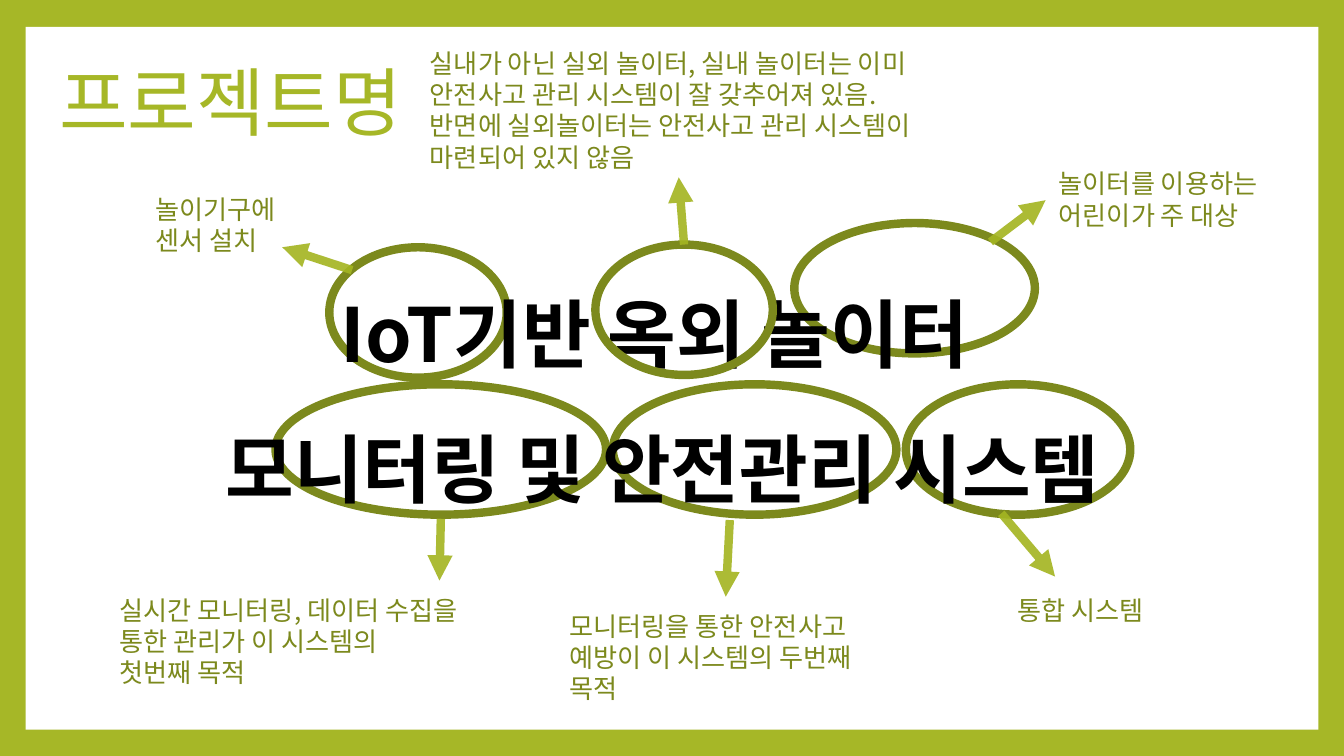
from dataclasses import dataclass

import pptx
import pptx.dml.color
import pptx.enum.dml
import pptx.enum.shapes
import pptx.enum.text
import pptx.oxml
import pptx.oxml.ns
import pptx.util
from pptx.util import Inches

FONT = "Noto Sans CJK KR"
COLORS = {
    "frame": "A6B727",
    "panel": "FFFFFF",
    "olive": "7C891D",
    "arrow": "A4B522",
    "headline": "000000",
}
OVAL_HEIGHT = 0.97
STROKE = 4.5


@dataclass
class Oval:
    left: float
    top: float
    width: float


@dataclass
class Arrow:
    start: tuple[float, float]
    end: tuple[float, float]


@dataclass
class Note:
    left: float
    top: float
    width: float
    height: float
    lines: list[str]
    fit_shape: bool = True


OVALS_BEHIND = [
    Oval(2.45, 1.84, 1.32),
    Oval(5.91, 1.66, 1.79),
    Oval(2.05, 2.86, 2.46),
    Oval(4.56, 2.86, 2.11),
    Oval(6.74, 2.86, 1.67),
]
OUTDOOR_OVAL = Oval(4.43, 1.82, 1.32)
ARROWS = [
    Arrow((2.62, 2.01), (2.1, 1.84)),
    Arrow((7.37, 1.8), (7.78, 1.49)),
    Arrow((5.43, 3.87), (5.4, 4.44)),
    Arrow((3.28, 3.86), (3.27, 4.32)),
    Arrow((7.45, 3.82), (7.85, 4.29)),
    Arrow((5.09, 1.82), (5.05, 1.32)),
]
NOTES = [
    Note(1.06, 1.39, 1.23, 0.57, ["놀이기구에", "센서 설치"]),
    Note(7.78, 1.2, 1.8, 0.57, ["놀이터를 이용하는", "어린이가 주 대상"]),
    Note(0.79, 4.37, 2.96, 0.81,
         ["실시간 모니터링, 데이터 수집을 통한 관리가 이 시스템의", "첫번째 목적"]),
    Note(4.14, 4.49, 2.53, 0.81,
         ["모니터링을 통한 안전사고 예방이 이 시스템의 두번째 목적"]),
    Note(7.47, 4.37, 1.8, 0.34, ["통합 시스템"]),
    Note(3.1, 0.3, 3.99, 1.51,
         ["실내가 아닌 실외 놀이터, 실내 놀이터는 이미 안전사고 관리 시스템이 잘 갖추어져 있음. "
          "반면에 실외놀이터는 안전사고 관리 시스템이 마련되어 있지 않음"], fit_shape=False),
]
HEADLINE = ["IoT기반 옥외 놀이터 ", "모니터링 및 안전관리 시스템"]


def rgb(name: str) -> pptx.dml.color.RGBColor:
    return pptx.dml.color.RGBColor.from_string(COLORS[name])


def add_xml(parent, tag: str, **attributes: str) -> None:
    element = pptx.oxml.parse_xml(f'<a:{tag} {pptx.oxml.ns.nsdecls("a")}/>')
    for name, value in attributes.items():
        element.set(name, value)
    parent.append(element)


def set_margins(frame, side: float, top: float) -> None:
    frame.margin_left = frame.margin_right = Inches(side)
    frame.margin_top = frame.margin_bottom = Inches(top)


def write_lines(frame, lines: list[str], size: int, color: str, spacing: float,
                alignment=pptx.enum.text.PP_ALIGN.LEFT, bold: bool = False) -> None:
    """Fill the frame with one paragraph per line, spaced in points."""
    frame.word_wrap = True
    for index, line in enumerate(lines):
        paragraph = frame.add_paragraph() if index else frame.paragraphs[0]
        paragraph.alignment = alignment
        paragraph.line_spacing = pptx.util.Pt(spacing)
        paragraph.space_before = pptx.util.Pt(0)
        run = paragraph.add_run()
        run.text = line
        run.font.size = pptx.util.Pt(size)
        run.font.bold = bold
        run.font.color.rgb = rgb(color)
        run.font.name = FONT
        add_xml(run.font._element, "ea", typeface=FONT)


def add_panel(slide) -> None:
    """Put the white panel behind everything, the title included."""
    panel = slide.shapes.add_shape(pptx.enum.shapes.MSO_SHAPE.RECTANGLE,
                                   Inches(0.19), Inches(0.2), Inches(9.62), Inches(5.23))
    panel.shadow.inherit = False
    panel.fill.solid()
    panel.fill.fore_color.rgb = rgb("panel")
    panel.line.fill.background()
    slide.shapes._spTree.insert(2, panel._element)


def add_oval(slide, oval: Oval) -> None:
    shape = slide.shapes.add_shape(pptx.enum.shapes.MSO_SHAPE.OVAL, Inches(oval.left),
                                   Inches(oval.top), Inches(oval.width), Inches(OVAL_HEIGHT))
    shape.shadow.inherit = False
    shape.fill.background()
    shape.line.color.rgb = rgb("olive")
    shape.line.width = pptx.util.Pt(STROKE)


def add_arrow(slide, arrow: Arrow) -> None:
    connector = slide.shapes.add_connector(pptx.enum.shapes.MSO_CONNECTOR.STRAIGHT,
                                           *map(Inches, arrow.start + arrow.end))
    connector.line.color.rgb = rgb("arrow")
    connector.line.width = pptx.util.Pt(STROKE)
    line = connector.line._get_or_add_ln()
    add_xml(line.find(".//" + pptx.oxml.ns.qn("a:srgbClr")), "alpha", val="91000")
    add_xml(line, "tailEnd", type="triangle")
    add_xml(connector._element.spPr, "effectLst")


def add_note(slide, note: Note) -> None:
    box = slide.shapes.add_textbox(Inches(note.left), Inches(note.top),
                                   Inches(note.width), Inches(note.height))
    set_margins(box.text_frame, 0.1, 0.05)
    write_lines(box.text_frame, note.lines, 14, "olive", 16.8)
    if note.fit_shape:
        box.text_frame.auto_size = pptx.enum.text.MSO_AUTO_SIZE.SHAPE_TO_FIT_TEXT


def add_title(slide) -> None:
    title = slide.shapes.title
    title.left, title.top = Inches(0.34), Inches(0.21)
    title.width, title.height = Inches(9.32), Inches(0.63)
    frame = title.text_frame
    frame.auto_size = pptx.enum.text.MSO_AUTO_SIZE.NONE
    frame.vertical_anchor = pptx.enum.text.MSO_ANCHOR.TOP
    set_margins(frame, 0.1, 0.1)
    write_lines(frame, ["프로젝트명"], 40, "frame", 55.5)


def add_headline(slide) -> None:
    box = slide.shapes.add_textbox(Inches(0.27), Inches(1.67), Inches(9.32), Inches(2.24))
    frame = box.text_frame
    frame.vertical_anchor = pptx.enum.text.MSO_ANCHOR.BOTTOM
    set_margins(frame, 0.1, 0.1)
    write_lines(frame, HEADLINE, 40, "headline", 72, pptx.enum.text.PP_ALIGN.CENTER, bold=True)


def main() -> None:
    presentation = pptx.Presentation()
    presentation.slide_width = Inches(10)
    presentation.slide_height = Inches(10) * 9 // 16
    slide = presentation.slides.add_slide(presentation.slide_layouts[5])
    slide.background.fill.solid()
    slide.background.fill.fore_color.rgb = rgb("frame")

    add_panel(slide)
    add_title(slide)
    for oval in OVALS_BEHIND:
        add_oval(slide, oval)
    add_headline(slide)
    add_oval(slide, OUTDOOR_OVAL)
    for arrow in ARROWS:
        add_arrow(slide, arrow)
    for note in NOTES:
        add_note(slide, note)
    presentation.save("out.pptx")


if __name__ == "__main__":
    main()
